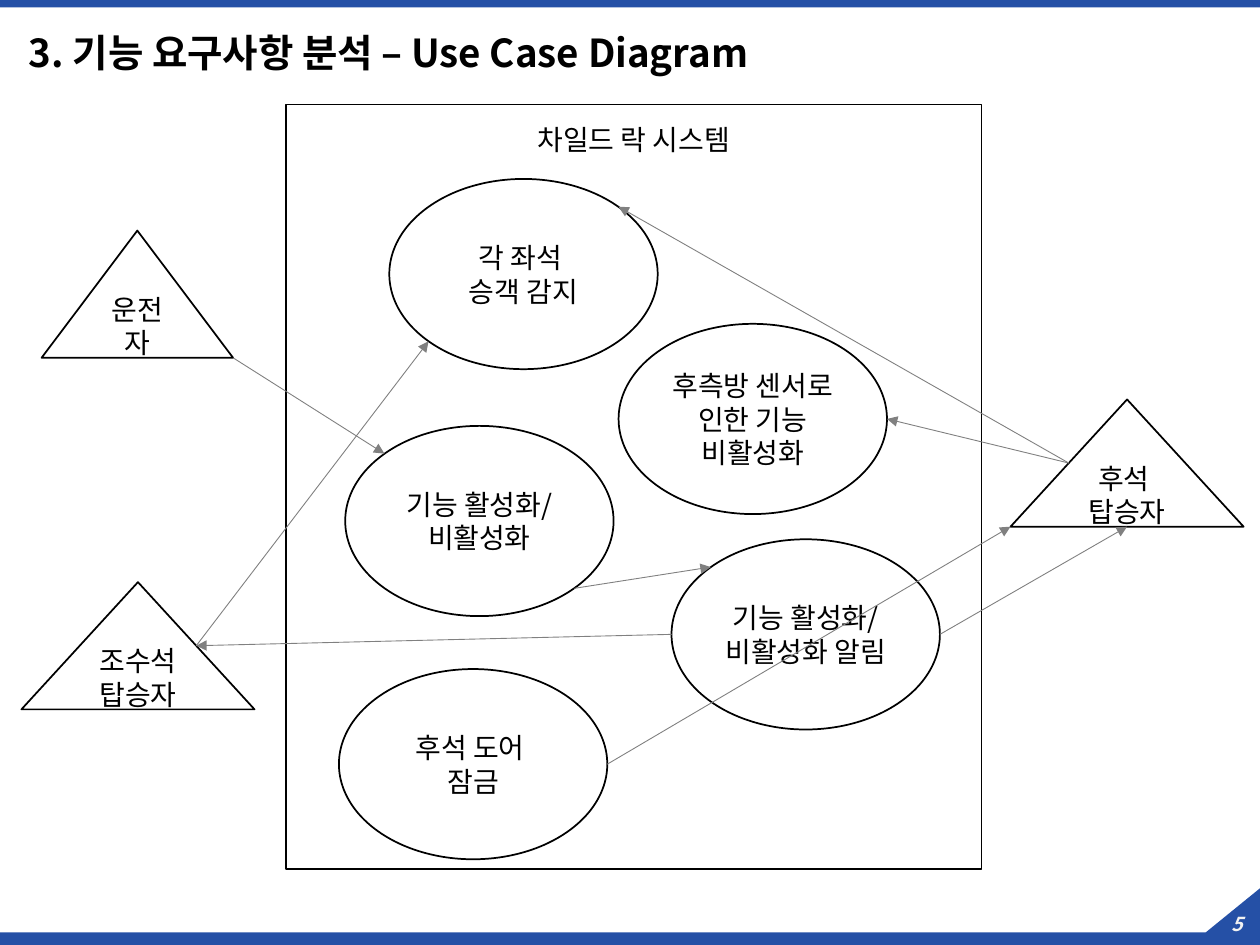
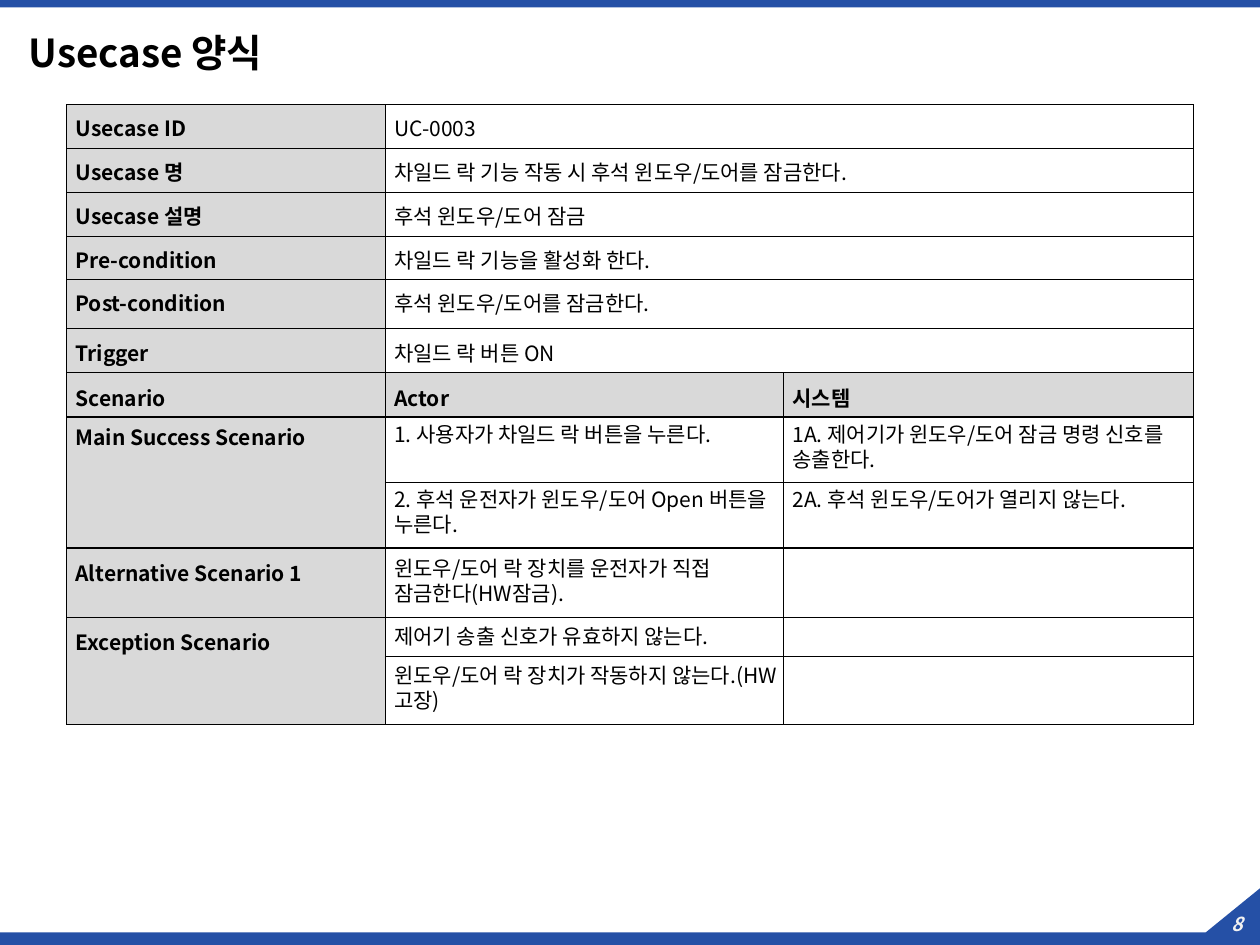
"""Builds a use case diagram slide and a use case form slide."""
import pptx
import pptx.util
import pptx.dml.color
import pptx.enum.shapes
import pptx.enum.text
import lxml.etree

Inches, Pt = pptx.util.Inches, pptx.util.Pt
Shape = pptx.enum.shapes.MSO_SHAPE
Align = pptx.enum.text.PP_ALIGN
Anchor = pptx.enum.text.MSO_ANCHOR
FONT = "Noto Sans CJK KR"
BLUE, BLACK, WHITE, GRAY, PALE, MID = "2550A6", "000000", "FFFFFF", "808080", "D9D9D9", "F2F2F2"
NS = "{http://schemas.openxmlformats.org/drawingml/2006/main}"


def color(code):
    return pptx.dml.color.RGBColor.from_string(code)


def write(frame, text, size=16, code=BLACK, bold=False, italic=False,
          align=Align.CENTER, anchor=Anchor.MIDDLE, pad=None, space=None, before=None):
    frame.word_wrap = True
    frame.vertical_anchor = anchor
    if pad is not None:
        frame.margin_left, frame.margin_top, frame.margin_right, frame.margin_bottom = map(Inches, pad)
    for i, line in enumerate(text.split("\n")):
        para = frame.paragraphs[0] if i == 0 else frame.add_paragraph()
        para.alignment = align
        para.line_spacing = space
        para.space_before = before
        run = para.add_run()
        run.text = line
        font = run.font
        font.name, font.size, font.bold, font.italic = FONT, Pt(size), bold, italic
        font.color.rgb = color(code)
        lxml.etree.SubElement(run._r.get_or_add_rPr(), NS + "ea", typeface=FONT)


deck = pptx.Presentation()
deck.slide_width, deck.slide_height = Inches(10), Inches(7.5)

pages = []
for title, number in (("3. 기능 요구사항 분석 – Use Case Diagram", "5"), ("Usecase 양식", "8")):
    page = deck.slides.add_slide(deck.slide_layouts[5])
    pages.append(page)
    band = page.shapes.add_shape(Shape.RECTANGLE, 0, 0, Inches(10), Inches(0.06))
    build = page.shapes.build_freeform(Inches(10), Inches(7.05))
    build.add_line_segments([(Inches(x), Inches(y)) for x, y in
                             ((10, 7.5), (0, 7.5), (0, 7.4), (9.57, 7.4))])
    for item in (band, build.convert_to_shape()):
        item.shadow.inherit = False
        item.fill.solid()
        item.fill.fore_color.rgb = color(BLUE)
        item.line.fill.background()
    box = page.shapes.add_textbox(Inches(9.61), Inches(7.19), Inches(0.42), Inches(0.29))
    write(box.text_frame, number, size=11, code=MID, bold=True, italic=True, pad=(0, 0, 0, 0))
    head = page.shapes.title
    head.left, head.top, head.width, head.height = map(Inches, (0.13, 0.21, 9.47, 0.46))
    head.text_frame.auto_size = pptx.enum.text.MSO_AUTO_SIZE.NONE
    write(head.text_frame, title, size=22, bold=True, align=Align.LEFT, space=0.9)

chart, form = pages

OVAL, ACTOR = (2.13, 1.51), (1.85, 1.01)
nodes = {
    "system": (Shape.RECTANGLE, 2.27, 0.83, (5.52, 6.07), "차일드 락 시스템"),
    "driver": (Shape.ISOSCELES_TRIANGLE, 0.33, 1.83, (1.52, 1.01), "운전자"),
    "front": (Shape.ISOSCELES_TRIANGLE, 0.17, 4.62, ACTOR, "조수석 탑승자"),
    "rear": (Shape.ISOSCELES_TRIANGLE, 8.02, 3.17, ACTOR, "후석 \n탑승자"),
    "switch": (Shape.OVAL, 2.74, 3.38, OVAL, "기능 활성화/\n비활성화"),
    "detect": (Shape.OVAL, 3.09, 1.42, OVAL, "각 좌석 \n승객 감지"),
    "lock": (Shape.OVAL, 2.69, 5.31, OVAL, "후석 도어 \n잠금"),
    "notice": (Shape.OVAL, 5.33, 4.28, OVAL, "기능 활성화/\n비활성화 알림"),
    "sensor": (Shape.OVAL, 4.91, 2.57, OVAL, "후측방 센서로 인한 기능 비활성화"),
}
for name, (kind, x, y, (w, h), text) in nodes.items():
    node = chart.shapes.add_shape(kind, Inches(x), Inches(y), Inches(w), Inches(h))
    node.shadow.inherit = False
    node.fill.solid()
    node.fill.fore_color.rgb = color(WHITE)
    node.line.color.rgb = color(BLACK)
    node.line.width = Pt(1)
    if name == "system":
        write(node.text_frame, text, anchor=Anchor.TOP, pad=(0.1, 0.14, 0.1, 0.05))
    else:
        write(node.text_frame, text)

NEAR, FAR = 0.146, 0.854
links = (
    ("rear", 0.25, 0.5, "detect", FAR, NEAR),
    ("front", 0.75, 0.5, "detect", NEAR, FAR),
    ("notice", 1, 0.5, "rear", 0.5, 1),
    ("notice", 0, 0.5, "front", 0.75, 0.5),
    ("switch", FAR, FAR, "notice", NEAR, NEAR),
    ("driver", 1, 1, "switch", NEAR, NEAR),
    ("lock", 1, 0.5, "rear", 0, 1),
    ("rear", 0.25, 0.5, "sensor", 1, 0.5),
)
for link in links:
    ends = []
    for name, across, down in (link[:3], link[3:]):
        kind, x, y, (w, h), text = nodes[name]
        ends += [Inches(x + across * w), Inches(y + down * h)]
    line = chart.shapes.add_connector(pptx.enum.shapes.MSO_CONNECTOR.STRAIGHT, *ends)
    line.line.color.rgb = color(GRAY)
    line.line.width = Pt(0.5)
    lxml.etree.SubElement(line.line._get_or_add_ln(), NS + "tailEnd", type="triangle")
    lxml.etree.SubElement(line._element.spPr, NS + "effectLst")

rows = (
    (0.35, "Usecase ID", "UC-0003", ""),
    (0.35, "Usecase 명", "차일드 락 기능 작동 시 후석 윈도우/도어를 잠금한다.", ""),
    (0.35, "Usecase 설명", "후석 윈도우/도어 잠금", ""),
    (0.34, "Pre-condition", "차일드 락 기능을 활성화 한다.", ""),
    (0.39, "Post-condition", "후석 윈도우/도어를 잠금한다.", ""),
    (0.35, "Trigger", "차일드 락 버튼 ON", ""),
    (0.35, "Scenario", "Actor", "시스템"),
    (0.52, "Main Success Scenario", "1. 사용자가 차일드 락 버튼을 누른다.",
     "1A. 제어기가 윈도우/도어 잠금 명령 신호를 송출한다."),
    (0.52, "", "2. 후석 운전자가 윈도우/도어 Open 버튼을 누른다.",
     "2A. 후석 윈도우/도어가 열리지 않는다."),
    (0.55, "Alternative Scenario 1", "윈도우/도어 락 장치를 운전자가 직접 잠금한다(HW잠금). ", ""),
    (0.31, "Exception Scenario", "제어기 송출 신호가 유효하지 않는다.", ""),
    (0.54, "", "윈도우/도어 락 장치가 작동하지 않는다.(HW고장)", ""),
)
tops = [0.06] * 5 + [0.07] * 2 + [0.05] * 2 + [0.08] + [0.07] * 2
grid = form.shapes.add_table(len(rows), 3, Inches(0.53), Inches(0.83), Inches(8.94), Inches(4.92)).table
for col, width in zip(grid.columns, (2.53, 3.16, 3.25)):
    col.width = Inches(width)
for r, (high, *texts) in enumerate(rows):
    grid.rows[r].height = Inches(high)
    for c, text in enumerate(texts):
        cell = grid.cell(r, c)
        props = cell._tc.get_or_add_tcPr()
        for side in "LRTB":
            edge = lxml.etree.SubElement(props, NS + "ln" + side, w=str(Pt(0.75)))
            fill = lxml.etree.SubElement(edge, NS + "solidFill")
            lxml.etree.SubElement(fill, NS + "srgbClr", val=BLACK)
        shade = c == 0 or r == 6
        if shade:
            cell.fill.solid()
            cell.fill.fore_color.rgb = color(PALE)
        else:
            cell.fill.background()
        top, before, space = tops[r], 4.7, None
        if c == 0 and r == 7:
            top, before, space = 0.08, 5.6, Pt(13.9)
        elif c == 0 and r > 7:
            top = 0.07
        elif r in (7, 8):
            before, space = 3.5, Pt(14.3)
        elif r > 8:
            space = Pt(14.2)
        cell.vertical_anchor = Anchor.TOP
        cell.margin_left, cell.margin_top = Inches(0.07), Inches(top if text else 0)
        cell.margin_right = cell.margin_bottom = 0
        if text:
            write(cell.text_frame, text, size=12, bold=shade, align=Align.LEFT,
                  anchor=None, space=space, before=Pt(before))
for r in range(6):
    grid.cell(r, 1).merge(grid.cell(r, 2))
for r in (7, 10):
    grid.cell(r, 0).merge(grid.cell(r + 1, 0))

deck.save("out.pptx")
